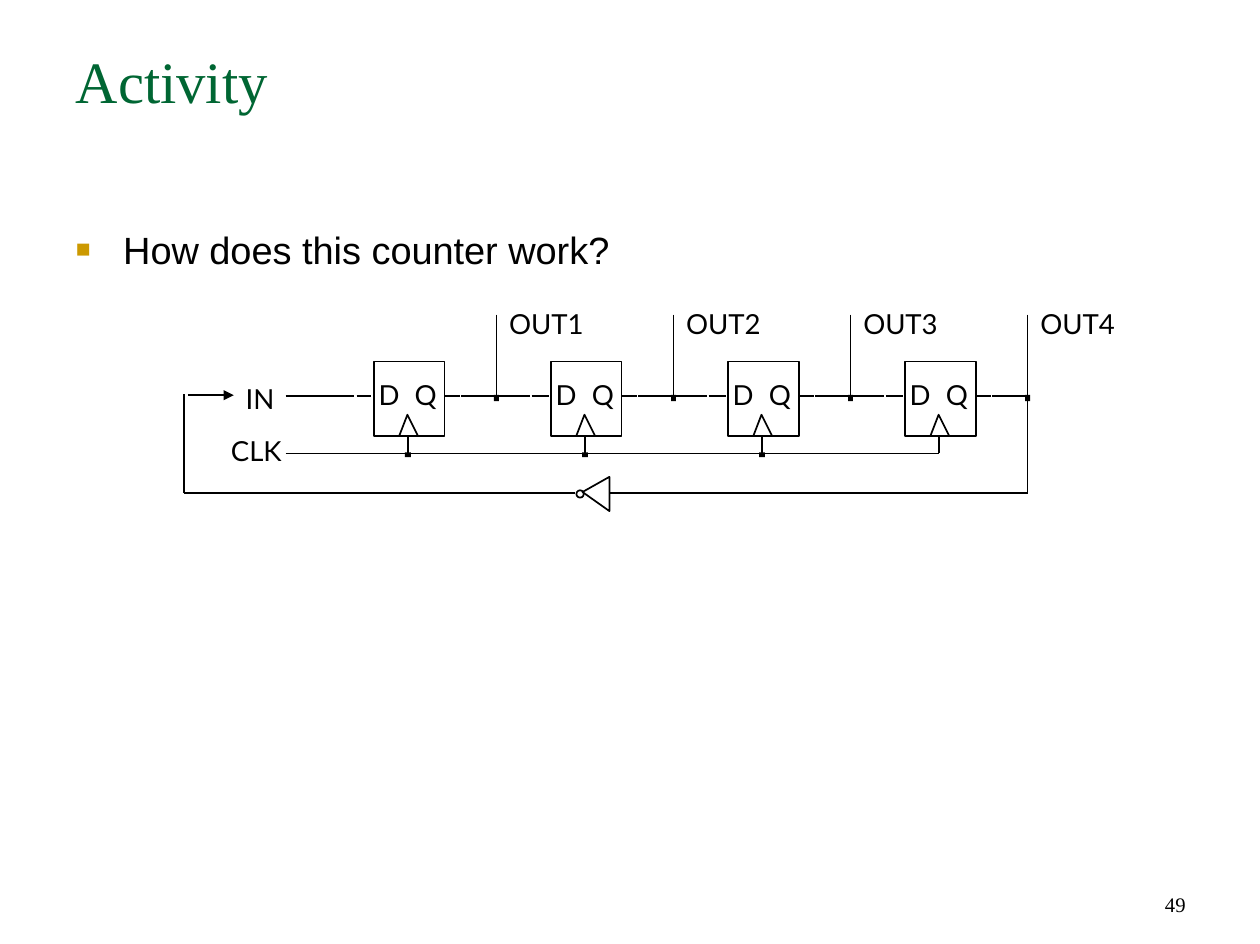
from dataclasses import dataclass

from lxml import etree
from pptx import Presentation
from pptx.dml.color import RGBColor
from pptx.enum.shapes import MSO_CONNECTOR, MSO_SHAPE
from pptx.enum.text import MSO_ANCHOR, PP_ALIGN
from pptx.oxml.ns import qn
from pptx.util import Cm, Pt

RECTANGLE, OVAL = MSO_SHAPE.RECTANGLE, MSO_SHAPE.OVAL
STRAIGHT = MSO_CONNECTOR.STRAIGHT
TOP, BOTTOM = MSO_ANCHOR.TOP, MSO_ANCHOR.BOTTOM
LEFT, RIGHT = PP_ALIGN.LEFT, PP_ALIGN.RIGHT

COLORS = {"ink": "000000", "paper": "FFFFFF", "title": "006633", "bullet": "CC9900"}
Point = tuple[float, float]

# Circuit geometry in centimetres
FLIP_FLOP_LEFT, FLIP_FLOP_PITCH, FLIP_FLOP_COUNT = 7.64, 3.62, 4
FLIP_FLOP_TOP, FLIP_FLOP_BOTTOM, FLIP_FLOP_WIDTH = 7.39, 8.92, 1.45
DATA_Y, CLOCK_Y, FEEDBACK_Y = 8.1, 9.27, 10.08
TAP_TOP, TAP_OFFSET, CLOCK_OFFSET = 6.43, 2.51, 0.7
FEEDBACK_LEFT, INPUT_LEFT = 3.76, 5.84
OUTPUT_SEGMENTS = [(1.44, 1.76), (1.79, 2.51), (2.53, 3.2), (3.23, 3.58)]


@dataclass
class Label:
    text: str
    left: float
    top: float
    width: float
    height: float = 0.97
    font: str = "Lato"
    size: float = 16
    color: str = "ink"
    align: PP_ALIGN = LEFT
    anchor: MSO_ANCHOR = TOP
    inset: Point = (0.05, 0.08)
    spacing: float | None = 17
    wrap: bool = False
    bullet: bool = False


@dataclass
class Wire:
    start: Point
    end: Point
    arrow: bool = False


@dataclass
class Mark:
    """A small preset shape given by its centre."""
    center: Point
    width: float
    height: float
    preset: MSO_SHAPE = RECTANGLE
    filled: bool = True


def rgb(name: str) -> RGBColor:
    return RGBColor.from_string(COLORS[name])


def add_bullet(paragraph) -> None:
    properties = paragraph._p.get_or_add_pPr()
    properties.set("marL", str(Cm(0.97)))
    properties.set("indent", str(Cm(-0.97)))
    color = etree.SubElement(properties, qn("a:buClr"))
    etree.SubElement(color, qn("a:srgbClr"), val=COLORS["bullet"])
    etree.SubElement(properties, qn("a:buSzPct"), val="65000")
    etree.SubElement(properties, qn("a:buFont"), typeface="Arial")
    etree.SubElement(properties, qn("a:buChar"), char="■")


def draw_label(shapes, label: Label) -> None:
    box = shapes.add_textbox(Cm(label.left), Cm(label.top), Cm(label.width), Cm(label.height))
    frame = box.text_frame
    side, edge = Cm(label.inset[0]), Cm(label.inset[1])
    frame_format = {"margin_left": side, "margin_right": side, "margin_top": edge,
                    "margin_bottom": edge, "vertical_anchor": label.anchor,
                    "word_wrap": label.wrap}
    for name, value in frame_format.items():
        setattr(frame, name, value)
    paragraph = frame.paragraphs[0]
    paragraph.alignment = label.align
    if label.spacing:
        paragraph.line_spacing = Pt(label.spacing)
    if label.bullet:
        add_bullet(paragraph)
    run = paragraph.add_run()
    run.text = label.text
    for name, value in {"name": label.font, "size": Pt(label.size)}.items():
        setattr(run.font, name, value)
    run.font.color.rgb = rgb(label.color)


def draw_wire(shapes, wire: Wire) -> None:
    line = shapes.add_connector(STRAIGHT, *map(Cm, wire.start + wire.end))
    line.line.color.rgb = rgb("ink")
    line.line.width = Pt(1)
    properties = line._element.spPr
    if wire.arrow:
        etree.SubElement(properties.find(qn("a:ln")), qn("a:tailEnd"), type="triangle")
    etree.SubElement(properties, qn("a:effectLst"))


def outline(shape) -> None:
    shape.shadow.inherit = False
    shape.line.color.rgb = rgb("ink")
    shape.line.width = Pt(1)


def draw_mark(shapes, mark: Mark) -> None:
    x, y = mark.center
    shape = shapes.add_shape(mark.preset, Cm(x - mark.width / 2), Cm(y - mark.height / 2),
                             Cm(mark.width), Cm(mark.height))
    outline(shape)
    if mark.filled:
        shape.fill.solid()
        shape.fill.fore_color.rgb = rgb("ink")
        shape.line.fill.background()
    else:
        shape.fill.background()


def draw_path(shapes, points: list[Point], closed: bool) -> None:
    first, *rest = [(Cm(x), Cm(y)) for x, y in points]
    builder = shapes.build_freeform(*first)
    builder.add_line_segments(rest, close=closed)
    shape = builder.convert_to_shape()
    outline(shape)
    shape.fill.background()


def draw_flip_flop(shapes, number: int) -> None:
    left = FLIP_FLOP_LEFT + (number - 1) * FLIP_FLOP_PITCH
    last = number == FLIP_FLOP_COUNT
    tap_x, clock_x = left + TAP_OFFSET, left + CLOCK_OFFSET

    # Body with its clock wedge and pin names
    body = shapes.add_shape(RECTANGLE, Cm(left), Cm(FLIP_FLOP_TOP), Cm(FLIP_FLOP_WIDTH),
                            Cm(FLIP_FLOP_BOTTOM - FLIP_FLOP_TOP))
    outline(body)
    body.fill.solid()
    body.fill.fore_color.rgb = rgb("paper")
    draw_path(shapes, [(left + 0.52, FLIP_FLOP_BOTTOM), (left + 0.69, 8.48),
                       (left + 0.91, FLIP_FLOP_BOTTOM)], closed=False)
    for pin, offset in (("D", 0.05), ("Q", 0.79)):
        draw_label(shapes, Label(pin, left + offset, 7.72, 0.68))

    # Output wires, tap and clock drop
    for start, end in OUTPUT_SEGMENTS[:2] if last else OUTPUT_SEGMENTS:
        draw_wire(shapes, Wire((left + start, DATA_Y), (left + end, DATA_Y)))
    draw_wire(shapes, Wire((tap_x, TAP_TOP), (tap_x, DATA_Y)))
    draw_mark(shapes, Mark((tap_x, DATA_Y + 0.04), 0.1, 0.13))
    draw_label(shapes, Label(f"OUT{number}", left + 2.72, 6.27, 2))
    draw_wire(shapes, Wire((clock_x, FLIP_FLOP_BOTTOM), (clock_x, CLOCK_Y)))
    if not last:
        draw_mark(shapes, Mark((clock_x, CLOCK_Y + 0.03), 0.12, 0.1))


def main() -> None:
    deck = Presentation()
    deck.slide_width, deck.slide_height = Cm(25.76), Cm(19.3)
    shapes = deck.slides.add_slide(deck.slide_layouts[6]).shapes

    # Title, question, slide number and input names
    page = {"inset": (0.25, 0.13), "spacing": None, "wrap": True}
    serif = "Times New Roman"
    labels = [
        Label("Activity", 1.3, 0.79, 23.16, 3.2, serif, 34, "title", **page),
        Label("How does this counter work?", 1.3, 4.5, 23.16, 12.75, "Arial", 22,
              bullet=True, **page),
        Label("49", 18.47, 17.58, 6.02, 1.3, serif, 12, align=RIGHT, anchor=BOTTOM, **page),
        Label("IN", 4.19, 7.8, 1.47, align=RIGHT),
        Label("CLK", 4.39, 8.86, 1.42, align=RIGHT),
    ]
    for label in labels:
        draw_label(shapes, label)

    # Flip-flop chain
    for number in range(1, FLIP_FLOP_COUNT + 1):
        draw_flip_flop(shapes, number)

    # Input, clock and feedback wires
    last_left = FLIP_FLOP_LEFT + (FLIP_FLOP_COUNT - 1) * FLIP_FLOP_PITCH
    feedback_right = last_left + TAP_OFFSET
    wires = [
        Wire((INPUT_LEFT, DATA_Y), (7.24, DATA_Y)),
        Wire((7.29, DATA_Y), (7.59, DATA_Y)),
        Wire((INPUT_LEFT, CLOCK_Y), (last_left + CLOCK_OFFSET, CLOCK_Y)),
        Wire((feedback_right, DATA_Y), (feedback_right, FEEDBACK_Y)),
        Wire((feedback_right, FEEDBACK_Y), (12.46, FEEDBACK_Y)),
        Wire((11.76, FEEDBACK_Y), (FEEDBACK_LEFT, FEEDBACK_Y)),
        Wire((FEEDBACK_LEFT, FEEDBACK_Y), (FEEDBACK_LEFT, 8.05)),
        Wire((3.84, 8.08), (4.78, 8.08), arrow=True),
    ]
    for wire in wires:
        draw_wire(shapes, wire)

    # Inverter
    draw_path(shapes, [(12.46, 9.75), (12.46, 10.45), (11.91, 10.06)], closed=True)
    draw_mark(shapes, Mark((11.86, 10.1), 0.15, 0.15, OVAL, filled=False))

    deck.save("out.pptx")


if __name__ == "__main__":
    main()
